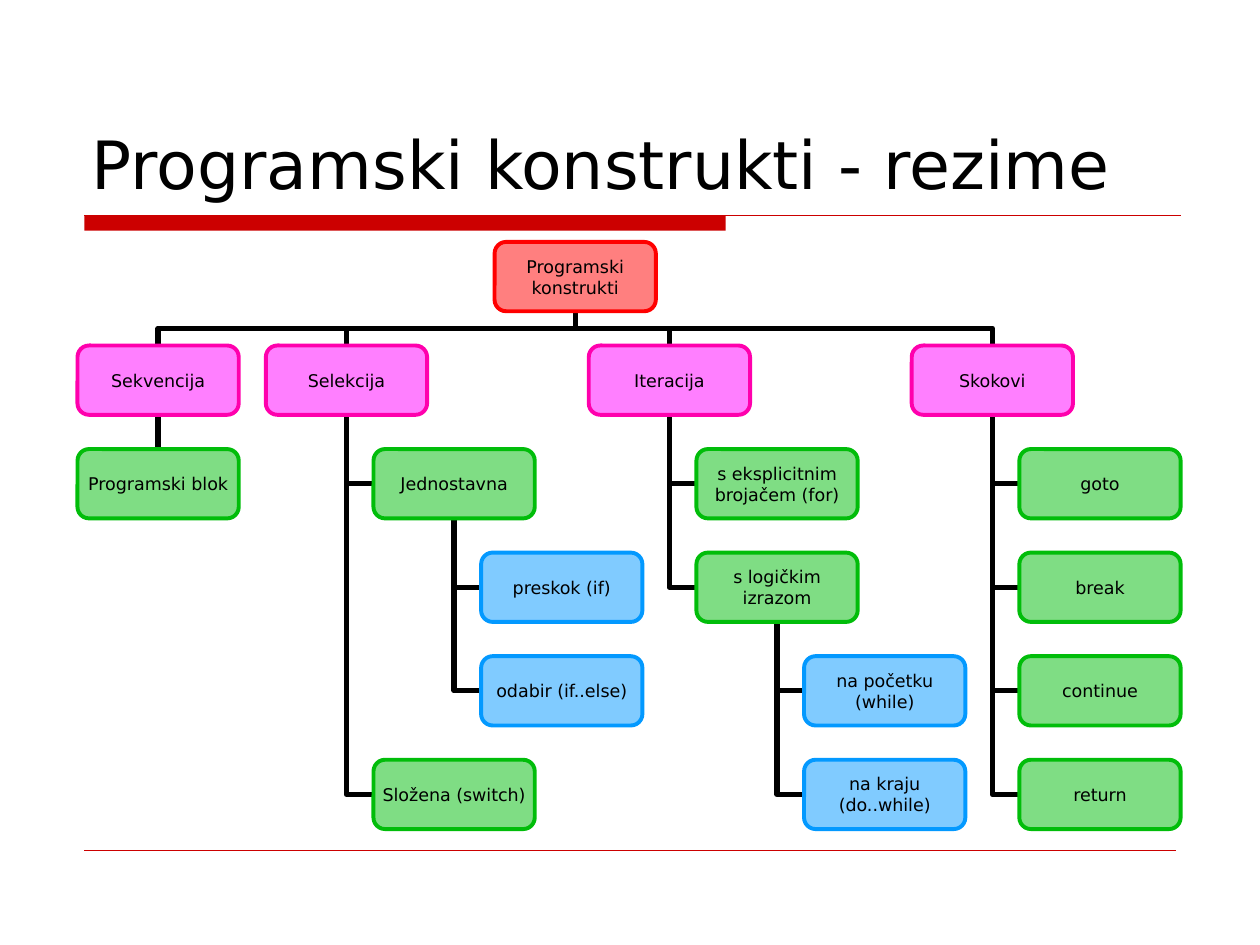
from lxml.etree import SubElement
from pptx import Presentation
from pptx.dml.color import RGBColor
from pptx.enum.shapes import MSO_CONNECTOR, MSO_SHAPE
from pptx.enum.text import MSO_ANCHOR, PP_ALIGN
from pptx.oxml.ns import qn
from pptx.util import Inches, Pt

THEME = {
    "font": "DejaVu Sans", "title_size": Pt(38), "box_size": Pt(10),
    "text": RGBColor.from_string("000000"),
    "accent": RGBColor.from_string("CC0000"),
    # Fill and outline of each level of the tree
    "levels": {
        "root": ("FF0000", "FF0000"),
        "group": ("FF00FF", "FF00AD"),
        "kind": ("01BD0A", "01BD0A"),
        "leaf": ("0399FF", "0399FF"),
    },
}

presentation = Presentation()
presentation.slide_width, presentation.slide_height = Inches(10), Inches(7.5)
slide = presentation.slides.add_slide(presentation.slide_layouts[6])
shapes = slide.shapes


def write(shape, text, size, alignment, anchor):
    frame = shape.text_frame
    frame.word_wrap = True
    frame.vertical_anchor = anchor
    frame.text = text
    paragraph = frame.paragraphs[0]
    paragraph.alignment = alignment
    font = paragraph.runs[0].font
    font.name, font.size, font.color.rgb = THEME["font"], size, THEME["text"]


def connect(kind, start, end, color, width):
    connector = shapes.add_connector(kind, *start, *end)
    connector.line.color.rgb = color
    connector.line.width = Pt(width)
    SubElement(connector.element.spPr, qn("a:effectLst"))
    return connector


# Title with the rules below it and at the foot
title = shapes.add_textbox(Inches(0.63), Inches(0.33), Inches(8.75), Inches(1.33))
write(title, "Programski konstrukti - rezime", THEME["title_size"],
      PP_ALIGN.LEFT, MSO_ANCHOR.BOTTOM)

margin, rule_top = Inches(0.67), Inches(1.71)
bar = shapes.add_shape(MSO_SHAPE.RECTANGLE, margin, rule_top, Inches(5.09), Inches(0.12))
bar.shadow.inherit = False
bar.fill.solid()
bar.fill.fore_color.rgb = THEME["accent"]
bar.line.fill.background()
for right, top, width in [(9.37, 1.71, 0.75), (9.33, 6.75, 0.25)]:
    connect(MSO_CONNECTOR.STRAIGHT, (margin, Inches(top)),
            (Inches(right), Inches(top)), THEME["accent"], width)

# Tree: text, column, row, level, index of the parent
nodes = [
    ("Programski konstrukti", 2.125, 0, "root", None),
    ("Sekvencija", -1.75, 1, "group", 0),
    ("Selekcija", 0, 1, "group", 0),
    ("Iteracija", 3, 1, "group", 0),
    ("Skokovi", 6, 1, "group", 0),
    ("Programski blok", -1.75, 2, "kind", 1),
    ("Jednostavna", 1, 2, "kind", 2),
    ("Složena (switch)", 1, 5, "kind", 2),
    ("preskok (if)", 2, 3, "leaf", 6),
    ("odabir (if..else)", 2, 4, "leaf", 6),
    ("s eksplicitnim brojačem (for)", 4, 2, "kind", 3),
    ("s logičkim izrazom", 4, 3, "kind", 3),
    ("na početku (while)", 5, 4, "leaf", 11),
    ("na kraju (do..while)", 5, 5, "leaf", 11),
    ("goto", 7, 2, "kind", 4),
    ("break", 7, 3, "kind", 4),
    ("continue", 7, 4, "kind", 4),
    ("return", 7, 5, "kind", 4),
]
grid_left, grid_top = Inches(2.11), Inches(1.92)
column_step, row_step = Inches(8.09 - 2.11) / 7, Inches(6.03 - 1.92) / 5
box_width, box_height = Inches(1.28), Inches(0.55)

# Boxes
boxes = []
for text, column, row, level, parent_index in nodes:
    box = shapes.add_shape(
        MSO_SHAPE.ROUNDED_RECTANGLE, round(grid_left + column * column_step),
        round(grid_top + row * row_step), box_width, box_height)
    box.shadow.inherit = False
    fill_color, line_color = THEME["levels"][level]
    box.fill.solid()
    box.fill.fore_color.rgb = RGBColor.from_string(fill_color)
    color_element = box.fill._xPr.find(".//" + qn("a:srgbClr"))
    SubElement(color_element, qn("a:alpha"), val="50000")
    box.line.color.rgb = RGBColor.from_string(line_color)
    box.line.width = Pt(2.25)
    frame = box.text_frame
    frame.margin_left = frame.margin_right = frame.margin_top = frame.margin_bottom = 0
    write(box, text, THEME["box_size"], PP_ALIGN.CENTER, MSO_ANCHOR.MIDDLE)
    boxes.append(box)

# Connectors from each box to its parent, placed behind the boxes
for box, (text, column, row, level, parent_index) in zip(boxes, nodes):
    if parent_index is None:
        continue
    parent = boxes[parent_index]
    center, middle = box.left + box_width // 2, box.top + box_height // 2
    parent_foot = (parent.left + box_width // 2, parent.top + box_height)
    straight = box.left == parent.left
    below = straight or level == "group"
    connector = connect(
        MSO_CONNECTOR.STRAIGHT if straight else MSO_CONNECTOR.ELBOW,
        (center, box.top) if below else (box.left, middle),
        parent_foot, THEME["text"], 3)
    connector.begin_connect(box, 0 if below else 1)
    connector.end_connect(parent, 2)
    if not below:
        # One bend: sideways from the box, then up to the parent
        connector.element.spPr.find(qn("a:prstGeom")).set("prst", "bentConnector2")
    elif not straight:
        # Two bends: a quarter turn makes the elbow leave upwards
        across, down = connector.width, connector.height
        middle_x, middle_y = connector.left + across // 2, connector.top + down // 2
        connector.left, connector.top = middle_x - down // 2, middle_y - across // 2
        connector.width, connector.height = down, across
        transform = connector.element.spPr.find(qn("a:xfrm"))
        transform.set("rot", "16200000")
        transform.set("flipH", "0")
        transform.set("flipV", "1" if box.left > parent.left else "0")
    connector.element.getparent().insert(2, connector.element)

presentation.save("out.pptx")
